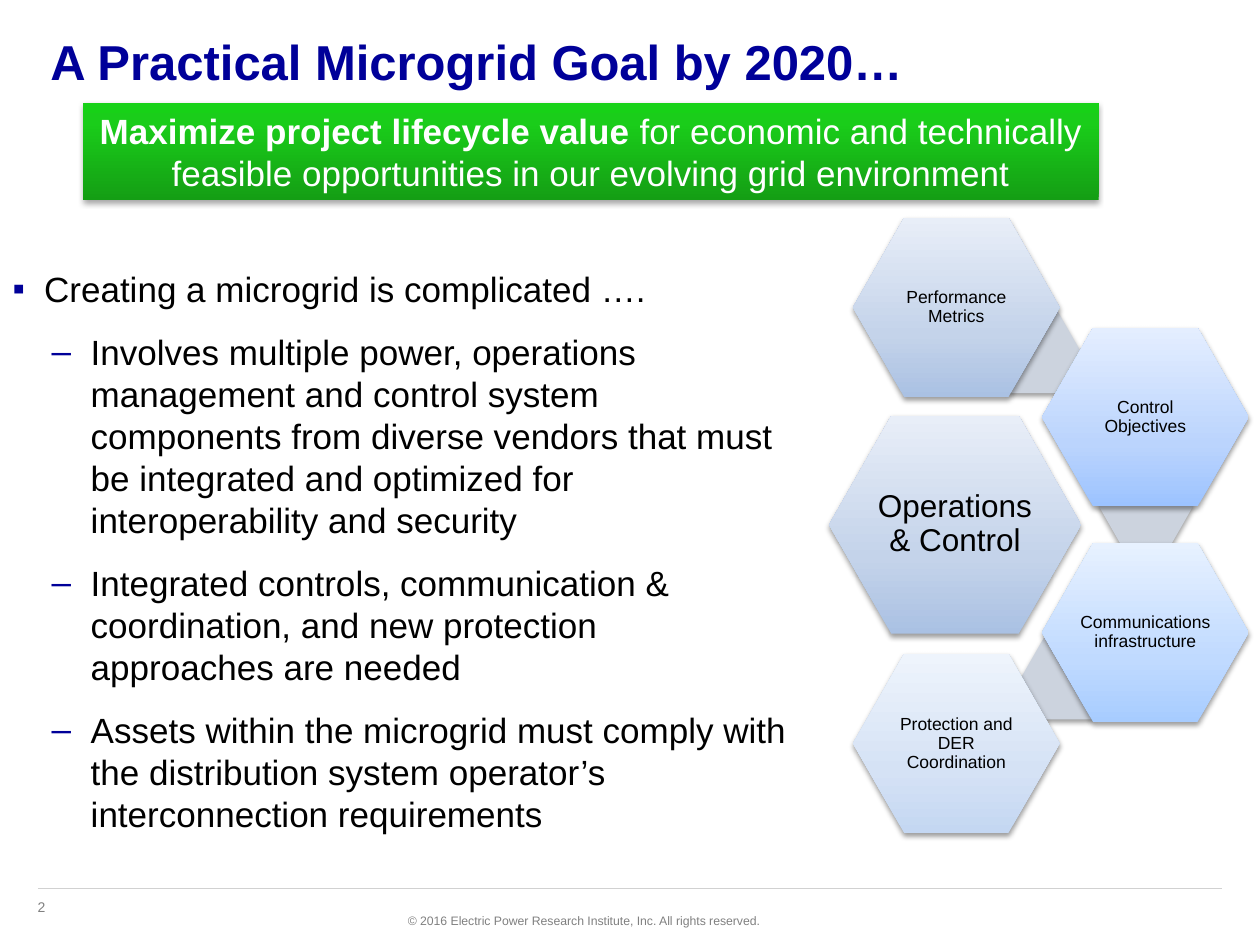
from lxml import etree
from pptx import Presentation
from pptx import util as u
from pptx.dml import color
from pptx.enum import shapes, text
from pptx.oxml import ns

FONT = "Arial"
NAVY, GRAY, RULE, LINK = "000099", "808080", "D1D1D1", "CCD3DE"
BLACK, WHITE = "000000", "FFFFFF"
GREEN = [(0, "149E14"), (80, "1ACD1A"), (100, "17D117")]
STEEL = [(0, "AAC1E3"), (35, "C4D3EA"), (100, "E8EEF8")]
SKY = [(0, "9CC3FF"), (35, "BBD4FD"), (100, "E4EEFF")]
AZURE = [(0, "A7CCFF"), (35, "C0DAFF"), (100, "E7F1FF")]
PALE = [(0, "C4D7F2"), (35, "D5E2F5"), (100, "EEF4FC")]
HEX_SIZE, LINK_SIZE = (1.64, 1.42), (0.75, 0.65)


def rgb(value):
    return color.RGBColor.from_string(value)


def child(parent, tag, **attrs):
    node = etree.SubElement(parent, ns.qn(tag))
    for name, value in attrs.items():
        node.set(name, str(value))
    return node


class SlideBuilder:
    def __init__(self, slide):
        self.s = slide

    def place(self, sp, left, top, width, height):
        sp.left, sp.top = u.Inches(left), u.Inches(top)
        sp.width, sp.height = u.Inches(width), u.Inches(height)

    def format_runs(self, p, size, hue, bold=False):
        for r in p.runs:
            r.font.name = FONT
            r.font.size = u.Pt(size)
            r.font.bold = bold
            r.font.color.rgb = rgb(hue)

    def title(self, words, box):
        sp = self.s.shapes.title
        self.place(sp, *box)
        tf = sp.text_frame
        tf.text = words
        tf.auto_size = text.MSO_AUTO_SIZE.NONE
        tf.vertical_anchor = text.MSO_ANCHOR.TOP
        p = tf.paragraphs[0]
        p.alignment = text.PP_ALIGN.LEFT
        self.format_runs(p, 28, NAVY, True)

    def bullets(self, items, box):
        sp = self.s.placeholders[1]
        self.place(sp, *box)
        tf = sp.text_frame
        tf.text = "\n".join(words for level, words in items)
        tf.auto_size = text.MSO_AUTO_SIZE.NONE
        tf.vertical_anchor = text.MSO_ANCHOR.TOP
        marks = [("▪", 0.25, -0.25), ("–", 0.62, -0.31)]
        for p, (level, words) in zip(tf.paragraphs, items):
            mark, margin, indent = marks[level]
            p.level = level
            p.space_before, p.space_after = u.Pt(6 * level), u.Pt(6)
            pPr = p._p.get_or_add_pPr()
            pPr.set("marL", str(u.Inches(margin)))
            pPr.set("indent", str(u.Inches(indent)))
            child(child(pPr, "a:buClr"), "a:srgbClr", val=NAVY)
            child(pPr, "a:buFont", typeface=FONT)
            child(pPr, "a:buChar", char=mark)
            self.format_runs(p, 20, BLACK)

    def label(self, words, box, size, align):
        sp = self.s.shapes.add_textbox(*map(u.Inches, box))
        tf = sp.text_frame
        tf.word_wrap = True
        tf.text = words
        tf.paragraphs[0].alignment = align
        self.format_runs(tf.paragraphs[0], size, GRAY)

    def rule(self, left, right, y):
        line = self.s.shapes.add_connector(
            shapes.MSO_CONNECTOR.STRAIGHT,
            u.Inches(left), u.Inches(y), u.Inches(right), u.Inches(y))
        line.line.color.rgb = rgb(RULE)
        line.line.width = u.Pt(0.75)
        child(line._element.spPr, "a:effectLst")

    def shape(self, kind, box, fill, opacity):
        sp = self.s.shapes.add_shape(kind, *map(u.Inches, box))
        if isinstance(fill, str):
            sp.fill.solid()
            sp.fill.fore_color.rgb = rgb(fill)
        else:
            self.gradient(sp, fill)
        sp.line.fill.background()
        self.soft_shadow(sp, opacity)
        return sp

    def gradient(self, sp, stops):
        sp.fill.gradient()
        sp.fill.gradient_angle = 90
        stop_list = sp._element.spPr.find(ns.qn("a:gradFill")).find(ns.qn("a:gsLst"))
        for old in list(stop_list):
            stop_list.remove(old)
        for position, hue in stops:
            child(child(stop_list, "a:gs", pos=position * 1000), "a:srgbClr", val=hue)

    def soft_shadow(self, sp, opacity):
        sp.shadow.inherit = False
        effects = sp._element.spPr.find(ns.qn("a:effectLst"))
        shadow = child(effects, "a:outerShdw", blurRad=u.Pt(3.1), dist=u.Pt(1.7),
                       dir=90 * 60000, rotWithShape=0)
        child(child(shadow, "a:srgbClr", val=BLACK), "a:alpha", val=opacity * 1000)

    def banner(self, strong, rest, box):
        tf = self.shape(shapes.MSO_SHAPE.RECTANGLE, box, GREEN, 35).text_frame
        tf.word_wrap = True
        tf.text = strong
        p = tf.paragraphs[0]
        p.alignment = text.PP_ALIGN.CENTER
        p.add_run().text = rest
        self.format_runs(p, 20, WHITE)
        p.runs[0].font.bold = True

    def hexagon(self, box, fill, words="", size=10, inset=0.01):
        sp = self.shape(shapes.MSO_SHAPE.HEXAGON, box, fill, 38)
        sp.adjustments[0] = 0.286
        if words:
            tf = sp.text_frame
            tf.word_wrap = True
            tf.vertical_anchor = text.MSO_ANCHOR.MIDDLE
            tf.margin_left = tf.margin_right = u.Inches(inset)
            tf.margin_top = tf.margin_bottom = u.Inches(inset)
            tf.text = words
            p = tf.paragraphs[0]
            p.alignment = text.PP_ALIGN.CENTER
            p.line_spacing = 0.9
            self.format_runs(p, size, BLACK)


def main():
    prs = Presentation()
    prs.slide_width, prs.slide_height = u.Inches(10), u.Inches(7.5)
    b = SlideBuilder(prs.slides.add_slide(prs.slide_layouts[1]))

    b.label("2", (0.2, 7.08, 0.66, 0.24), 8, text.PP_ALIGN.LEFT)
    b.rule(0.3, 9.7, 7.05)
    b.label("© 2016 Electric Power Research Institute, Inc. All rights reserved.",
            (3.08, 7.2, 3.05, 0.22), 7, text.PP_ALIGN.RIGHT)
    b.title("A Practical Microgrid Goal by 2020…", (0.3, 0.2, 9.38, 0.8))
    b.bullets([
        (0, "Creating a microgrid is complicated …."),
        (1, "Involves multiple power, operations management and control system "
            "components from diverse vendors that must be integrated and optimized "
            "for interoperability and security"),
        (1, "Integrated controls, communication & coordination, and new protection "
            "approaches are needed"),
        (1, "Assets within the microgrid must comply with the distribution system "
            "operator’s interconnection requirements"),
    ], (0, 2.07, 6.35, 4.99))
    b.banner("Maximize project lifecycle value ",
             "for economic and technically feasible opportunities in our evolving "
             "grid environment", (0.66, 0.82, 8.06, 0.77))

    b.hexagon((6.58, 3.3, 2, 1.73), STEEL, "Operations & Control", 18, 0.03)
    left, right = 6.77, 8.27
    topics = [
        ("Performance Metrics", (left, 1.73), STEEL, (7.83, 2.47)),
        ("Control Objectives", (right, 2.6), SKY, (8.72, 3.69)),
        ("Communications infrastructure", (right, 4.31), AZURE, (8.1, 5.06)),
        ("Protection and DER Coordination", (left, 5.19), PALE, None),
    ]
    for words, corner, fill, link in topics:
        if link:
            b.hexagon(link + LINK_SIZE, LINK)
        b.hexagon(corner + HEX_SIZE, fill, words)

    prs.save("out.pptx")


if __name__ == "__main__":
    main()
